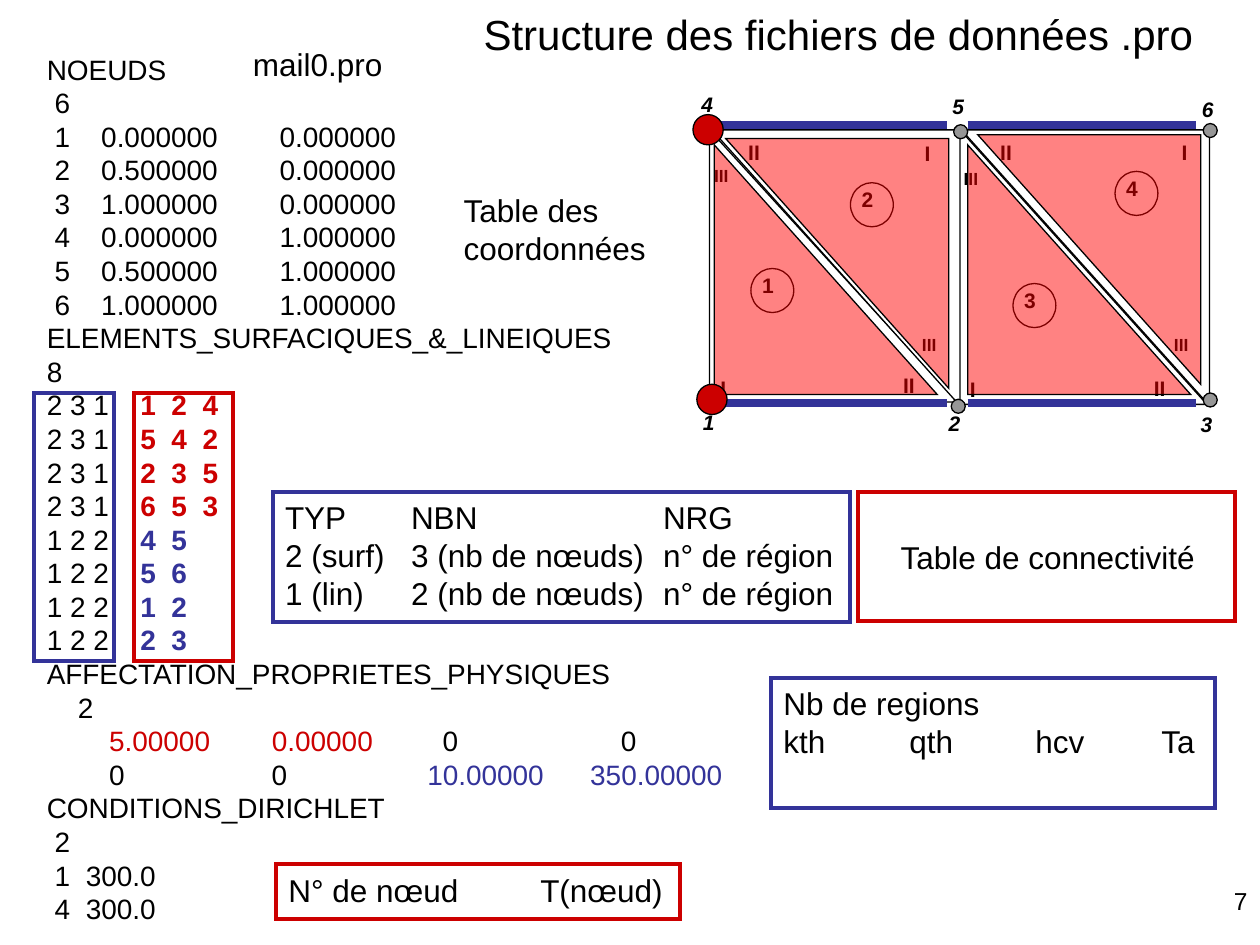
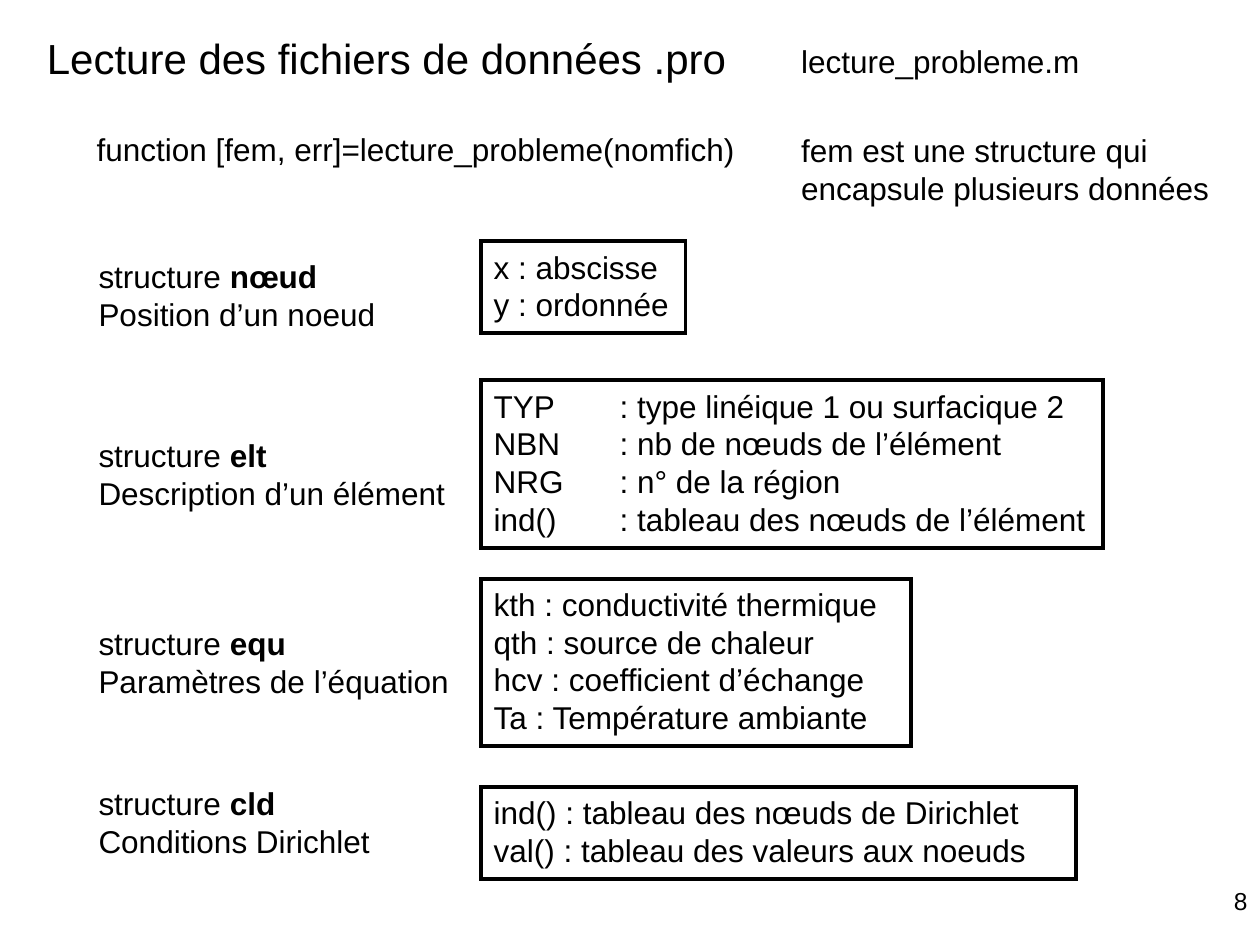
from dataclasses import dataclass

from lxml import etree
from pptx import Presentation
from pptx import util as u
from pptx.dml.color import RGBColor
from pptx.enum import shapes, text
from pptx.oxml.ns import qn

FONT = "Arial"
BLACK, WHITE, GREY = "000000", "FFFFFF", "969696"
RED, BLUE, SURFACE_RED = "CC0000", "333399", "FF0000"
TITLE_SIZE, BODY_SIZE, LISTING_SIZE, NUMBER_SIZE = 24, 18, 16, 14
FRAME_STOPS = (72, 144, 216)
OVAL = shapes.MSO_SHAPE.OVAL
TRIANGLE = shapes.MSO_SHAPE.RIGHT_TRIANGLE
RECTANGLE = shapes.MSO_SHAPE.RECTANGLE


@dataclass(frozen=True)
class Box:
    left: float
    top: float
    width: float
    height: float


@dataclass(frozen=True)
class Run:
    text: str
    color: str = BLACK
    bold: bool = False
    italic: bool = False


@dataclass(frozen=True)
class Line:
    runs: tuple[Run, ...]
    stops: tuple[float, ...] = ()


@dataclass(frozen=True)
class Structure:
    name: str
    role: str
    label_top: float
    frame: Box
    fields: tuple[str, ...]


def rgb(color: str) -> RGBColor:
    return RGBColor.from_string(color)


def plain(*rows: str, stops: tuple[float, ...] = ()) -> list[Line]:
    return [Line((Run(row),), stops) for row in rows]


# Drawing functions
def write(shape, lines: list[Line], size: float, align=text.PP_ALIGN.LEFT) -> None:
    frame = shape.text_frame
    frame.word_wrap = True
    frame.vertical_anchor = text.MSO_ANCHOR.TOP
    frame.margin_right = u.Pt(0)
    for index, line in enumerate(lines):
        paragraph = frame.paragraphs[0] if index == 0 else frame.add_paragraph()
        paragraph.alignment = align
        if line.stops:
            tabs = etree.SubElement(paragraph._p.get_or_add_pPr(), qn("a:tabLst"))
            for stop in line.stops:
                etree.SubElement(tabs, qn("a:tab"), pos=str(u.Pt(stop)), algn="l")
        for part in line.runs:
            run = paragraph.add_run()
            run.text = part.text
            run.font.name = FONT
            run.font.size = u.Pt(size)
            run.font.bold = part.bold
            run.font.italic = part.italic
            run.font.color.rgb = rgb(part.color)


def add_text(slide, box: Box, lines: list[Line], size: float = BODY_SIZE,
             align=text.PP_ALIGN.LEFT) -> None:
    shape = slide.shapes.add_textbox(
        u.Pt(box.left), u.Pt(box.top), u.Pt(box.width), u.Pt(box.height))
    write(shape, lines, size, align)


def add_outline(slide, kind, box: Box, fill: str | None = None, line: str = BLACK,
                weight: float = 0.75, rotation: float = 0, alpha: int = 100):
    shape = slide.shapes.add_shape(
        kind, u.Pt(box.left), u.Pt(box.top), u.Pt(box.width), u.Pt(box.height))
    shape.shadow.inherit = False
    shape.rotation = rotation
    shape.line.color.rgb = rgb(line)
    shape.line.width = u.Pt(weight)
    # Sharp corners
    etree.SubElement(shape._element.spPr.find(qn("a:ln")), qn("a:miter"), lim="800000")
    if fill is None:
        shape.fill.background()
    else:
        shape.fill.solid()
        shape.fill.fore_color.rgb = rgb(fill)
        if alpha < 100:
            color = shape._element.spPr.find(qn("a:solidFill")).find(qn("a:srgbClr"))
            etree.SubElement(color, qn("a:alpha"), val=str(alpha * 1000))
    return shape


def add_frame(slide, box: Box, color: str, rows: tuple[str, ...] = ()) -> None:
    shape = add_outline(slide, RECTANGLE, box, line=color, weight=2.25)
    write(shape, plain(*rows, stops=FRAME_STOPS), BODY_SIZE)


def add_edge(slide, left: float, right: float, y: float) -> None:
    edge = slide.shapes.add_connector(
        shapes.MSO_CONNECTOR.STRAIGHT, u.Pt(left), u.Pt(y), u.Pt(right), u.Pt(y))
    edge.line.color.rgb = rgb(BLUE)
    edge.line.width = u.Pt(4.5)
    etree.SubElement(edge._element.spPr, qn("a:effectLst"))


def add_slide(presentation, title: str, title_box: Box, number: int):
    slide = presentation.slides.add_slide(presentation.slide_layouts[6])
    add_text(slide, title_box, plain(title), TITLE_SIZE)
    add_text(slide, Box(552.2, 502.6, 160.6, 37.4), plain(str(number)),
             NUMBER_SIZE, text.PP_ALIGN.RIGHT)
    return slide


# Listing of the data file
COORDINATES = [(0, 0), (0.5, 0), (1, 0), (0, 1), (0.5, 1), (1, 1)]
SURFACES = [(1, 2, 4), (5, 4, 2), (2, 3, 5), (6, 5, 3)]
EDGES = [(4, 5), (5, 6), (1, 2), (2, 3)]
SPACE = 4.45  # width of one space in the listing


def connectivity(prefix: str, nodes: tuple[int, ...], color: str) -> Line:
    numbers = "\t".join(str(node) for node in nodes)
    stops = tuple(SPACE * count for count in (12, 16, 20))
    return Line((Run(prefix + "\t"), Run(numbers, color, True)), stops)


def listing() -> list[Line]:
    coordinate_stops = (SPACE, 31.1, 133)
    dirichlet_stops = (SPACE, 22.25)
    return [
        *plain("NOEUDS"),
        *plain("\t6", *(f"\t{node}\t{x:.6f}\t{y:.6f}"
                        for node, (x, y) in enumerate(COORDINATES, 1)),
               stops=coordinate_stops),
        *plain("ELEMENTS_SURFACIQUES_&_LINEIQUES", "8"),
        *(connectivity("2 3 1", nodes, RED) for nodes in SURFACES),
        *(connectivity("1 2 2", nodes, BLUE) for nodes in EDGES),
        *plain("AFFECTATION_PROPRIETES_PHYSIQUES"),
        *plain("\t2", stops=(17.8,)),
        Line((Run("\t5.00000\t0.00000", RED), Run("\t0\t0")), (35.6, 128.6, 226.2, 328)),
        Line((Run("\t0\t0"), Run("\t10.00000\t350.00000", BLUE)), (35.6, 128.4, 217.4, 310.5)),
        *plain("CONDITIONS_DIRICHLET"),
        *plain("\t2", "\t1\t300.0", "\t4\t300.0", stops=dirichlet_stops),
    ]


# Triangular mesh: positions of its parts
WHITE_TRIANGLES = [
    (Box(405.4, 74.2, 141.8, 155.5), 0), (Box(547.9, 73.4, 141.8, 157.7), 0),
    (Box(406.8, 74.2, 141.8, 157.7), 180), (Box(549.4, 74.2, 141.8, 157.7), 180)]
RED_TRIANGLES = [(408.2, 82.8, 0), (553, 82.8, 0), (414.7, 79.2, 180), (558.7, 77, 180)]
ELEMENT_MARKS = [(429.1, 153.4), (486, 104.4), (578.9, 162), (637.2, 97.9)]
LOCAL_LABELS = {
    "I": [(404.6, 211), (547.2, 211.7), (521.3, 77), (668.2, 76.3)],
    "II": [(509, 209.5), (652.3, 211), (420.5, 76.3), (564.5, 76.3)],
    "III": [(401, 90.7), (543.6, 92.2), (519.8, 187.2), (663.8, 187.2)]}
NODE_LABELS = [(394.6, 230.4), (535, 231.1), (679, 231.8),
               (393.8, 49), (537.1, 49.7), (679.7, 51.8)]
NODE_DOTS = [(402.5, 226.8), (543.6, 228.2), (687.6, 224.6),
             (401, 69.1), (545, 71.3), (687.6, 70.6)]
DIRICHLET_DOTS = [(396, 65.5), (398.2, 219.6)]


def draw_mesh(slide) -> None:
    for box, rotation in WHITE_TRIANGLES:
        add_outline(slide, TRIANGLE, box, WHITE, rotation=rotation)
    for number, (x, y) in enumerate(ELEMENT_MARKS, 1):
        add_text(slide, Box(x - 0.7, y - 1.4, 24.5, 29.5),
                 [Line((Run(str(number), bold=True),))], 12)
        add_outline(slide, OVAL, Box(x, y, 24.5, 25.2))
    for label, places in LOCAL_LABELS.items():
        for x, y in places:
            add_text(slide, Box(x, y, 31, 24.5), [Line((Run(label, bold=True),))],
                     10 if label == "III" else 12)
    for number, (x, y) in enumerate(NODE_LABELS, 1):
        add_text(slide, Box(x, y, 31.7, 28.8),
                 [Line((Run(str(number), bold=True, italic=True),))], 12)
    for x, y in NODE_DOTS:
        add_outline(slide, OVAL, Box(x, y, 8, 8), GREY)
    for x, y, rotation in RED_TRIANGLES:
        add_outline(slide, TRIANGLE, Box(x, y, 127.4, 142.6), SURFACE_RED,
                    rotation=rotation, alpha=49)
    for y in (71.3, 230.4):
        for left in (411.1, 553):
            add_edge(slide, left, left + 130.3, y)
    for x, y in DIRICHLET_DOTS:
        add_outline(slide, OVAL, Box(x, y, 17.3, 17.3), RED)


def build_file_structure(presentation) -> None:
    slide = add_slide(presentation, "Structure des fichiers de données .pro",
                      Box(269.3, 1.4, 420.5, 36), 7)
    add_text(slide, Box(19.7, 26.2, 404, 507.6), listing(), LISTING_SIZE)
    add_text(slide, Box(137.5, 22.3, 88.6, 28.8), plain("mail0.pro"))
    add_text(slide, Box(257.8, 105.8, 118.8, 50.4), plain("Table des", "coordonnées"))
    draw_mesh(slide)
    # Frames around the columns and their explanations
    add_frame(slide, Box(155.8, 281.3, 329.8, 74.2), BLUE, (
        "TYP\tNBN\t\tNRG",
        "2 (surf)\t3 (nb de nœuds)\tn° de région",
        "1 (lin)\t2 (nb de nœuds)\tn° de région"))
    add_frame(slide, Box(490.3, 281.3, 215.3, 73.4), RED)
    add_text(slide, Box(507.6, 303.8, 184.3, 28.8), plain("Table de connectivité"))
    add_frame(slide, Box(19.7, 224.6, 45.4, 153.4), BLUE)
    add_frame(slide, Box(76.3, 224.6, 56.9, 153.4), RED)
    add_frame(slide, Box(440.6, 387.4, 253.8, 74.2), BLUE,
              ("Nb de regions", "kth\tqth\thcv\tTa"))
    add_frame(slide, Box(157.7, 493.9, 230.8, 31.2), RED, ("N° de nœud\tT(nœud)",))


# Structures read from the data file
STRUCTURES = [
    Structure("nœud", "Position d’un noeud", 143.5, Box(275, 138, 116.8, 52.6),
              ("x : abscisse", "y : ordonnée")),
    Structure("elt", "Description d’un élément", 245.5, Box(275, 217.4, 355.2, 95.8),
              ("TYP\t: type linéique 1 ou surfacique 2", "NBN\t: nb de nœuds de l’élément",
               "NRG\t: n° de la région", "ind()\t: tableau des nœuds de l’élément")),
    Structure("equ", "Paramètres de l’équation", 353.3, Box(275, 330.7, 245.5, 95.8),
              ("kth : conductivité thermique", "qth : source de chaleur",
               "hcv : coefficient d’échange", "Ta : Température ambiante")),
    Structure("cld", "Conditions Dirichlet", 444.7, Box(275, 449.8, 339.8, 52.6),
              ("ind() : tableau des nœuds de Dirichlet",
               "val() : tableau des valeurs aux noeuds")),
]


def build_file_reading(presentation) -> None:
    slide = add_slide(presentation, "Lecture des fichiers de données .pro",
                      Box(19.7, 15.1, 403.2, 36), 8)
    add_text(slide, Box(48.2, 71, 378.7, 28.8),
             plain("function [fem, err]=lecture_probleme(nomfich)"))
    add_text(slide, Box(450.7, 20.2, 173.5, 28.8), plain("lecture_probleme.m"))
    add_text(slide, Box(450.7, 71.3, 247.7, 50.4),
             plain("fem est une structure qui", "encapsule plusieurs données"))
    for item in STRUCTURES:
        heading = Line((Run("structure "), Run(item.name, bold=True)))
        add_text(slide, Box(49.2, item.label_top, 214.6, 50.4), [heading, *plain(item.role)])
        add_frame(slide, item.frame, BLACK, item.fields)


def main() -> None:
    presentation = Presentation()
    presentation.slide_width = u.Pt(720)
    presentation.slide_height = u.Pt(540)
    build_file_structure(presentation)
    build_file_reading(presentation)
    presentation.save("out.pptx")


if __name__ == "__main__":
    main()
